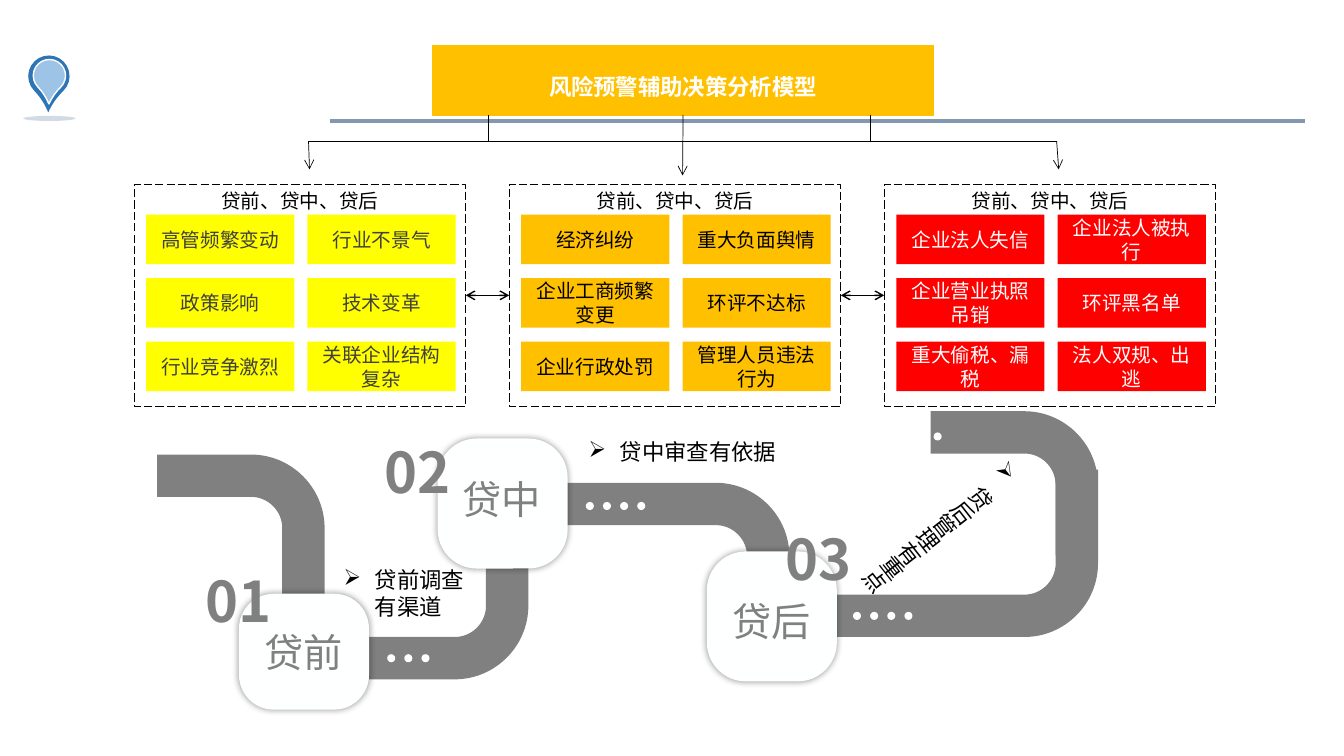
import math
import pptx
import pptx.util
import pptx.dml.color
import pptx.enum.dml
import pptx.enum.shapes
import pptx.enum.text
import pptx.oxml
import pptx.oxml.ns

# Content
TITLE = "风险预警辅助决策分析模型"
HEAD = "贷前、贷中、贷后"
PANELS = [
    ("yellow", "dark", ["高管频繁变动", "行业不景气", "政策影响", "技术变革",
                        "行业竞争激烈", "关联企业结构复杂"]),
    ("amber", "black", ["经济纠纷", "重大负面舆情", "企业工商频繁变更", "环评不达标",
                        "企业行政处罚", "管理人员违法行为"]),
    ("red", "white", ["企业法人失信", "企业法人被执行", "企业营业执照吊销", "环评黑名单",
                      "重大偷税、漏税", "法人双规、出逃"]),
]
# Stage: name, card box, name corner, number, number corner
STAGES = [
    ("贷后", (7.01, 5.47, 1.29, 1.29), (7.17, 5.88), "03", (7.69, 5.15)),
    ("贷中", (4.34, 4.35, 1.29, 1.29), (4.49, 4.67), "02", (3.72, 4.29)),
    ("贷前", (2.37, 5.89, 1.29, 1.15), (2.52, 6.18), "01", (1.94, 5.57)),
]
# Note: text, box, wrap, turn
NOTES = [
    ("贷后管理有重点", (9.08, 4.2, 0.47, 1.99), False, 52.1),
    ("贷前调查有渠道", (3.31, 5.57, 1.42, 0.65), True, 0),
    ("贷中审查有依据", (5.74, 4.3, 2.09, 0.37), False, 0),
]
# Road bends: start, corner and end of the middle line
BENDS = [
    ((3.02, 6.53), (5.03, 6.53), (5.03, 5.08)),
    ((5.6, 5.0), (7.62, 5.0), (7.62, 6.45)),
    ((7.4, 6.11), (10.68, 6.11), (10.68, 4.66)),
    ((9.23, 4.29), (10.68, 4.29), (10.68, 5.51)),
    ((1.56, 4.72), (3.01, 4.72), (3.01, 6.74)),
]
# Dot rows: left, top, count
DOTS = [(8.46, 6.07, 4), (3.84, 6.49, 3), (5.81, 4.98, 4), (9.26, 4.29, 1)]
HEX = {"yellow": "FFFF00", "amber": "FFC000", "red": "FF0000", "dark": "404040",
       "black": "000000", "white": "FFFFFF", "card": "FEFFFF", "road": "808080",
       "rule": "8497B0", "pin": "2E75B6", "core": "9DC3E6", "shade": "1F4E79"}
FONT = "Noto Sans CJK SC"

KIND = pptx.enum.shapes.MSO_SHAPE
ALIGN = pptx.enum.text.PP_ALIGN
ANCHOR = pptx.enum.text.MSO_ANCHOR
inch = pptx.util.Inches
qn = pptx.oxml.ns.qn

deck = pptx.Presentation()
deck.slide_width, deck.slide_height = inch(13.33), inch(7.5)
slide = deck.slides.add_slide(deck.slide_layouts[5])
shapes = slide.shapes


def tint(name):
    return pptx.dml.color.RGBColor.from_string(HEX[name])


def node(root, tag, **attrs):
    item = root.makeelement(qn("a:" + tag), attrs)
    root.append(item)
    return item


def paint(shape, fill=None, line=None, wide=1):
    shape.shadow.inherit = False
    if fill:
        shape.fill.solid()
        shape.fill.fore_color.rgb = tint(fill)
    else:
        shape.fill.background()
    if line:
        shape.line.color.rgb = tint(line)
        shape.line.width = pptx.util.Pt(wide)
    else:
        shape.line.fill.background()
    return shape


def draw(kind, box, *look):
    return paint(shapes.add_shape(kind, *map(inch, box)), *look)


def write(shape, text, size, color, bold=False, align=ALIGN.LEFT,
          anchor=ANCHOR.TOP, wrap=True, space=1.0, mark=None):
    frame = shape.text_frame
    form = {"word_wrap": wrap, "vertical_anchor": anchor,
            "auto_size": pptx.enum.text.MSO_AUTO_SIZE.NONE,
            "margin_left": inch(0.1), "margin_right": inch(0.1),
            "margin_top": inch(0.05), "margin_bottom": inch(0.05)}
    for key, val in form.items():
        setattr(frame, key, val)
    para = frame.paragraphs[0]
    para.alignment, para.line_spacing = align, space
    if mark:
        props = para._p.get_or_add_pPr()
        props.set("marL", str(inch(0.31)))
        props.set("indent", str(-inch(0.31)))
        node(props, "buFont", typeface="Wingdings", charset="2")
        node(props, "buChar", char=mark)
    run = para.add_run()
    run.text = text
    for key, val in {"name": FONT, "size": pptx.util.Pt(size), "bold": bold}.items():
        setattr(run.font, key, val)
    run.font.color.rgb = tint(color)
    node(run._r.get_or_add_rPr(), "ea", typeface=FONT)


def label(box, *args, **form):
    shape = shapes.add_textbox(*map(inch, box))
    write(shape, *args, **form)
    return shape


def link(start, end, wide=0.5, color="black", tips=()):
    line = shapes.add_connector(pptx.enum.shapes.MSO_CONNECTOR.STRAIGHT,
                                *map(inch, start + end))
    line.line.color.rgb = tint(color)
    line.line.width = pptx.util.Pt(wide)
    for tip in tips:
        node(line.line._get_or_add_ln(), tip, type="arrow")
    node(line._element.spPr, "effectLst")
    return line


def bend(start, turn, end, mid=0.52, half=0.21, pull=0.55):
    """Draw a road band with one rounded corner."""
    def unit(a, b):
        far = math.dist(a, b)
        return (b[0] - a[0]) / far, (b[1] - a[1]) / far

    u, v = unit(start, turn), unit(turn, end)
    hub = [turn[i] + mid * (v[i] - u[i]) for i in (0, 1)]

    def edge(off):
        rad = mid + off
        arc = [(0, 1), (pull, 1), (1, pull), (1, 0)]
        return ([[start[i] - v[i] * off for i in (0, 1)]]
                + [[hub[i] + rad * (u[i] * a - v[i] * b) for i in (0, 1)]
                   for a, b in arc]
                + [[end[i] + u[i] * off for i in (0, 1)]])

    pts = [tuple(map(inch, p)) for p in edge(half) + edge(-half)[::-1]]
    pen = shapes.build_freeform(*pts[0])
    pen.add_line_segments(pts[1:], close=True)
    road = paint(pen.convert_to_shape(), "road")
    # Turn each run of three corner segments into one curve
    legs = list(road._element.spPr.iter(qn("a:lnTo")))
    for first in (1, 7):
        curve = legs[first].makeelement(qn("a:cubicBezTo"), {})
        legs[first].addprevious(curve)
        for leg in legs[first:first + 3]:
            curve.append(leg[0])
            leg.getparent().remove(leg)


# Map pin and header rule
for box, look in [((0.28, 0.55, 0.41, 0.41), ("pin",)),
                  ((0.33, 0.59, 0.32, 0.32), ("core", "white"))]:
    drop = draw(KIND.TEAR, box, *look)
    drop.adjustments[0], drop.rotation = 1.24, 136
base = draw(KIND.OVAL, (0.23, 1.15, 0.52, 0.05), "shade")
node(base.fill._xPr.solidFill[0], "alpha", val="20000")
link((3.27, 1.2), (12.94, 1.2), 2.25, "rule")

# Title
title = shapes.title
for key, val in zip(("left", "top", "width", "height"), (4.29, 0.45, 4.97, 0.69)):
    setattr(title, key, inch(val))
paint(title, "amber", "amber")
write(title, TITLE, 16, "white", True, ALIGN.CENTER, ANCHOR.MIDDLE, space=1.5)

# Road, stage cards and dots
for points in BENDS:
    bend(*points)
for name, box, spot, num, corner in STAGES:
    card = draw(KIND.ROUNDED_RECTANGLE, box, "card")
    card.adjustments[0] = 0.3
    glow = node(card._element.spPr.find(qn("a:effectLst")), "outerShdw",
                blurRad=str(pptx.util.Pt(5)), dist="0", algn="ctr", rotWithShape="0")
    node(node(glow, "srgbClr", val=HEX["black"]), "alpha", val="40000")
    label(spot + (0.99, 0.57), name, 28, "road", wrap=False)
for left, top, count in DOTS:
    for n in range(count):
        draw(KIND.OVAL, (left + 0.17 * n, top, 0.08, 0.08), "card")
for text, box, wrap, turn in NOTES:
    note = label(box, text, 16, "black", wrap=wrap, mark="Ø")
    if turn:
        note.rotation = turn
        note.text_frame._txBody.bodyPr.set("vert", "eaVert")

# Panels: two columns by three rows of signals
frames = []
for n, (fill, ink, signs) in enumerate(PANELS):
    left = 1.33 + 3.72 * n
    panel = draw(KIND.RECTANGLE, (left, 1.83, 3.29, 2.2), None, "black", 0.75)
    panel.line.dash_style = pptx.enum.dml.MSO_LINE.LONG_DASH
    write(panel, HEAD, 14, "black", align=ALIGN.CENTER)
    frames.append(panel)
    for i, sign in enumerate(signs):
        row, col = divmod(i, 2)
        cell = draw(KIND.RECTANGLE,
                    (left + 0.12 + 1.6 * col, 2.13 + 0.63 * row, 1.47, 0.49), fill)
        write(cell, sign, 14, ink, align=ALIGN.CENTER, anchor=ANCHOR.MIDDLE)
for one, two in zip(frames, frames[1:]):
    pair = link((4.62, 2.93), (5.05, 2.93), 1, tips=("headEnd", "tailEnd"))
    pair.begin_connect(one, 3)
    pair.end_connect(two, 1)

# Branches from the title
for x in (4.84, 8.63):
    link((x, 1.14), (x, 1.4))
for side, foot in ((3.06, 3.07), (10.48, 10.5)):
    link((6.77, 1.4), (side, 1.4))
    link((side, 1.4), (foot, 1.68), tips=("tailEnd",))
stem = link((6.77, 1.14), (6.77, 1.74), tips=("tailEnd",))
stem.begin_connect(title, 2)

# Stage numbers
for name, box, spot, num, corner in STAGES:
    label(corner + (0.9, 0.81), num, 40, "road", True)

deck.save("out.pptx")
